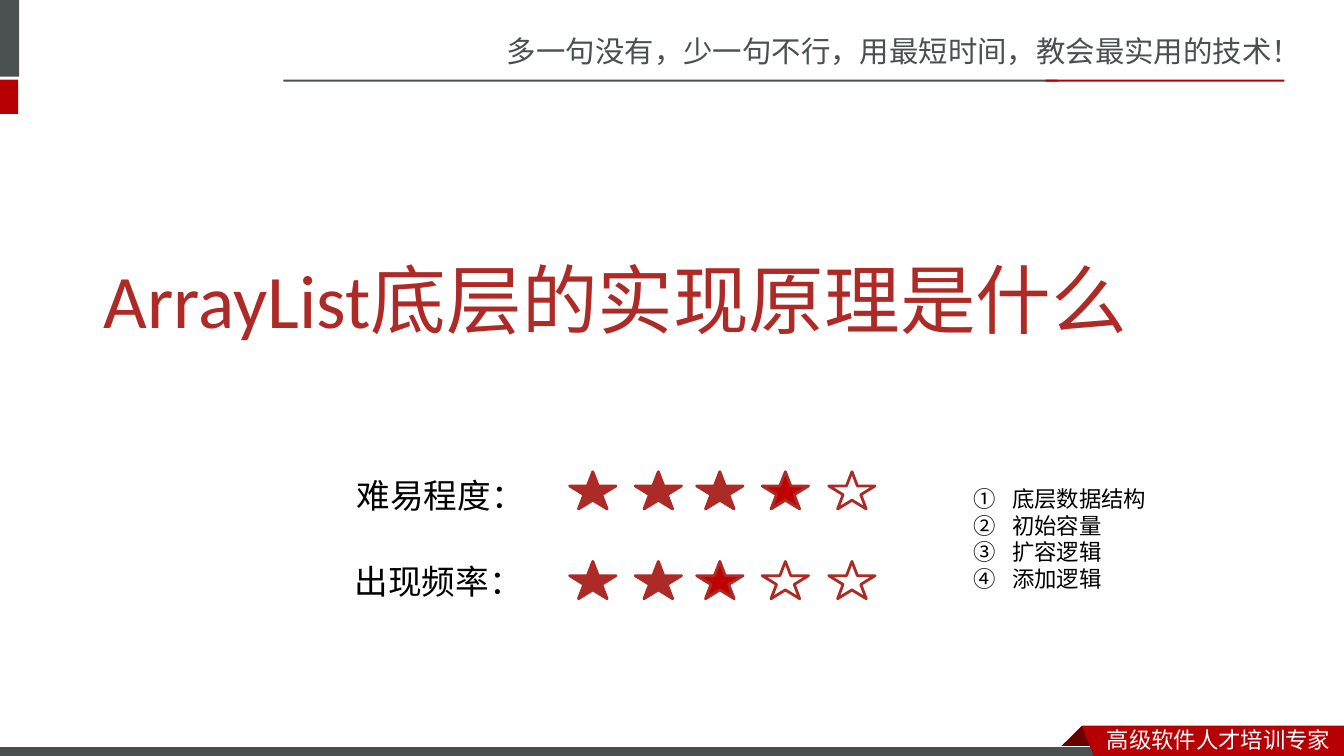
from lxml.etree import SubElement
from pptx import Presentation
from pptx.dml.color import RGBColor
from pptx.enum.shapes import MSO_SHAPE as SHAPE
from pptx.enum.text import MSO_ANCHOR as ANCHOR
from pptx.oxml.ns import qn
from pptx.util import Inches, Pt

COLORS = {
    "grey": "49504F", "banner": "B60004", "fold": "680000", "title": "AD2A26",
    "star": "AD2B26", "last_star": "C00000", "black": "000000", "white": "FFFFFF",
}
LATIN, CHINESE = "Calibri", "Noto Sans CJK SC"
STAR_LEFTS = (5.65, 6.3, 6.91, 7.56, 8.22)
KEY_POINTS = ("底层数据结构", "初始容量", "扩容逻辑", "添加逻辑")


def rgb(name):
    return RGBColor.from_string(COLORS[name])


def paint(shape, fill=None, line=None, width=0.75):
    shape.shadow.inherit = False
    if fill:
        shape.fill.solid()
        shape.fill.fore_color.rgb = rgb(fill)
    else:
        shape.fill.background()
    if line:
        shape.line.color.rgb = rgb(line)
        shape.line.width = Pt(width)
    else:
        shape.line.fill.background()


def add_preset(shapes, kind, box, **style):
    paint(shapes.add_shape(kind, *map(Inches, box)), **style)


def add_outline(shapes, points, fill):
    corners = [(Inches(x), Inches(y)) for x, y in points]
    builder = shapes.build_freeform(*corners[0])
    builder.add_line_segments(corners[1:], close=True)
    paint(builder.convert_to_shape(), fill)


def add_text(shapes, box, lines, size, color, font=LATIN, anchor=ANCHOR.TOP):
    """Add one paragraph per line and return the paragraphs."""
    frame = shapes.add_textbox(*map(Inches, box)).text_frame
    frame.word_wrap = True
    frame.vertical_anchor = anchor
    for index, line in enumerate(lines):
        paragraph = frame.add_paragraph() if index else frame.paragraphs[0]
        run = paragraph.add_run()
        run.text = line
        run.font.size = Pt(size)
        run.font.name = font
        run.font.color.rgb = rgb(color)
        SubElement(run.font._element, qn("a:ea"), typeface=CHINESE)
    return frame.paragraphs


def number(paragraph):
    """Give a paragraph a circled number and a hanging indent."""
    paragraph.level = 1
    properties = paragraph._p.get_or_add_pPr()
    properties.set("marL", str(Inches(1.04)))
    properties.set("indent", str(Inches(-0.38)))
    SubElement(properties, qn("a:buFont"), typeface="+mj-ea")
    SubElement(properties, qn("a:buAutoNum"), type="circleNumDbPlain")


def add_rating(shapes, label, label_box, star_top, score):
    """Add a label and five stars, of which the first `score` are filled."""
    rating = shapes.add_group_shape().shapes
    add_text(rating, label_box, [label], 24, "black", anchor=ANCHOR.MIDDLE)
    fills = ["star"] * (score - 1) + ["last_star"] + [None] * (len(STAR_LEFTS) - score)
    for left, fill in zip(STAR_LEFTS, fills):
        add_preset(rating, SHAPE.STAR_5_POINT, (left, star_top, 0.46, 0.37),
                   fill=fill, line="star", width=2)


def add_header(shapes):
    add_text(shapes, (4.93, 0.28, 8.41, 0.47),
             ["多一句没有，少一句不行，用最短时间，教会最实用的技术！"], 21, "grey", CHINESE)
    for box, fill in (
        ((-0.06, 0, 0.25, 0.76), "grey"),
        ((-0.06, 0.79, 0.24, 0.34), "banner"),
        ((2.81, 0.79, 7.68, 0.02), "grey"),
        ((10.37, 0.79, 2.37, 0.02), "banner"),
    ):
        add_preset(shapes, SHAPE.RECTANGLE, box, fill=fill)


def add_footer(shapes):
    add_outline(shapes, [(10.73, 7.2), (10.95, 7.42), (10.94, 7.43),
                         (10.52, 7.43), (10.51, 7.42)], "fold")
    add_preset(shapes, SHAPE.RECTANGLE, (-0.01, 7.41, 11, 0.12), fill="grey", line="white")
    add_outline(shapes, [(10.73, 7.2), (13.33, 7.2), (13.33, 7.54), (10.86, 7.53)], "banner")
    add_text(shapes, (10.88, 7.15, 2.45, 0.37), ["高级软件人才培训专家"], 16, "white", CHINESE)


def main():
    deck = Presentation()
    deck.slide_width, deck.slide_height = Inches(13.33), Inches(7.5)
    shapes = deck.slides.add_slide(deck.slide_layouts[6]).shapes

    add_header(shapes)
    add_footer(shapes)
    add_text(shapes, (0.93, 2.52, 11.65, 0.88), ["ArrayList底层的实现原理是什么"],
             54, "title", anchor=ANCHOR.MIDDLE)
    add_rating(shapes, "难易程度：", (3.44, 4.54, 2.07, 0.74), 4.68, 4)
    add_rating(shapes, "出现频率：", (3.42, 5.37, 2.07, 0.78), 5.57, 3)
    for point in add_text(shapes, (8.9, 4.76, 3.7, 1.18), KEY_POINTS, 16, "black"):
        number(point)

    deck.save("out.pptx")


if __name__ == "__main__":
    main()
